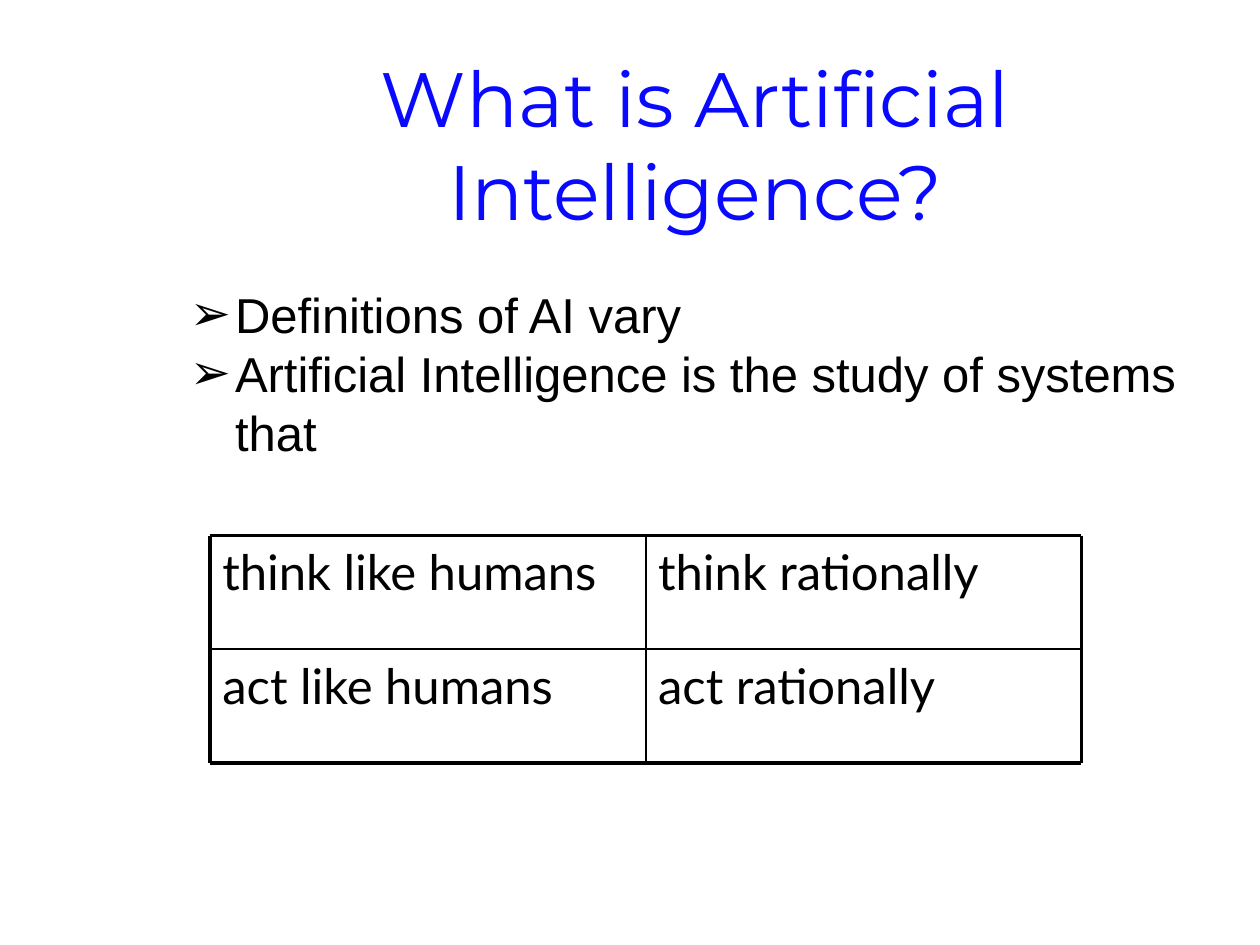
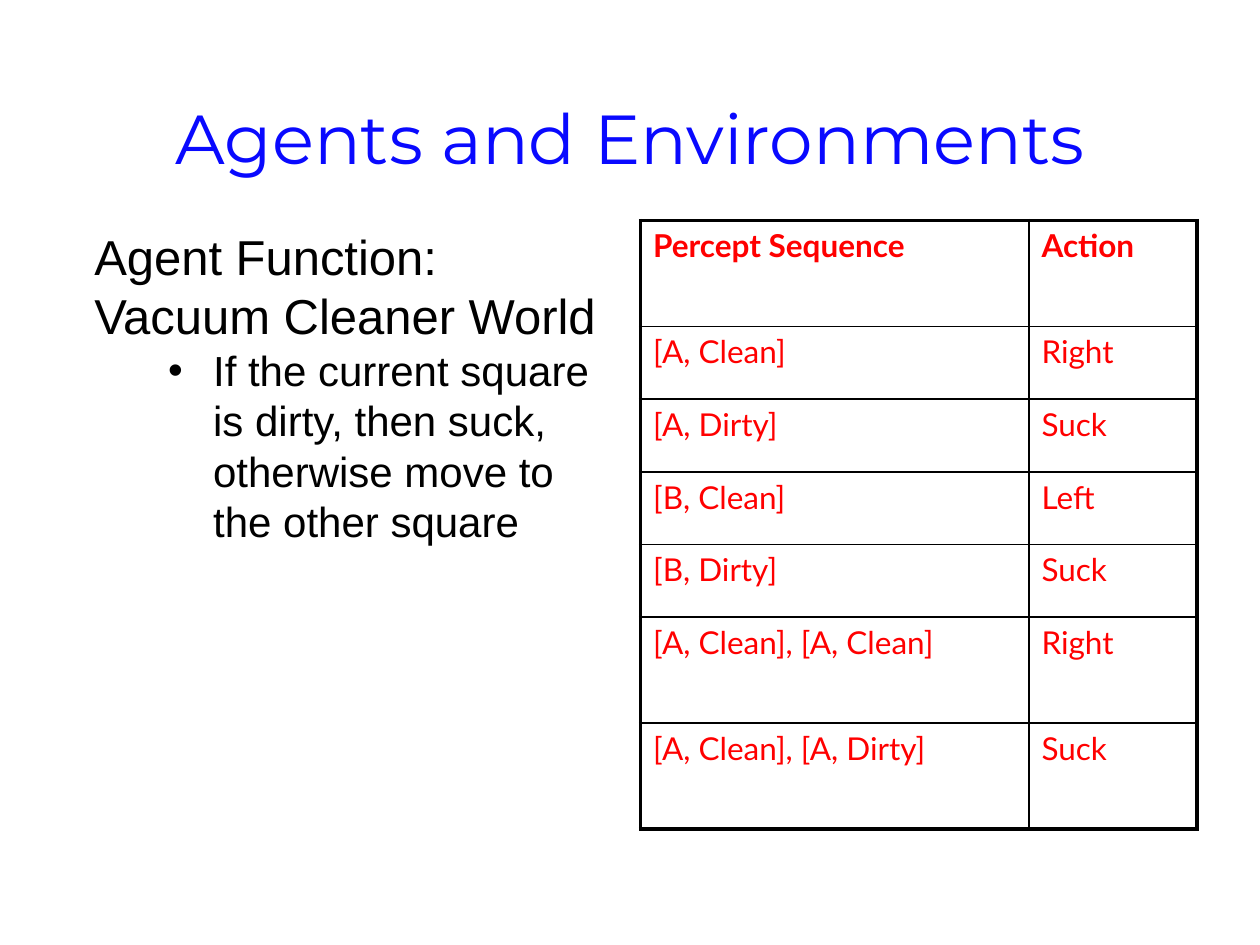
from pptx import Presentation
from pptx.dml.color import RGBColor
from pptx.enum.shapes import MSO_CONNECTOR
from pptx.enum.text import MSO_ANCHOR, MSO_AUTO_SIZE, PP_ALIGN
from pptx.oxml.ns import qn
from pptx.util import Pt
from lxml.etree import SubElement

BLUE, BLACK, RED = "0909FF", "000000", "FF0000"
TITLE_FONT, BODY_FONT, TABLE_FONT = "Montserrat", "Arial", "Lato"
THICK, THIN = 2.25, 1
HANG = 25.75
TITLE_ONLY = 5


def color(value):
    return RGBColor.from_string(value)


class SlideBuilder:
    """Holds the deck, its style and the current slide."""

    def __init__(self):
        self.deck = Presentation()
        self.deck.slide_width, self.deck.slide_height = Pt(720), Pt(540)
        self.page = None

    def new_page(self):
        self.page = self.deck.slides.add_slide(self.deck.slide_layouts[TITLE_ONLY])

    def add_span(self, para, text, font, size, ink, bold=False):
        span = para.add_run()
        span.text = text
        span.font.name, span.font.size, span.font.bold = font, Pt(size), bold
        span.font.color.rgb = color(ink)

    def title(self, text, left, top, width, height, size, anchor, spacing):
        box = self.page.shapes.title
        box.left, box.top, box.width, box.height = map(Pt, (left, top, width, height))
        frame = box.text_frame
        frame.word_wrap = True
        frame.auto_size = MSO_AUTO_SIZE.NONE
        frame.vertical_anchor = anchor
        para = frame.paragraphs[0]
        para.alignment = PP_ALIGN.CENTER
        para.line_spacing = spacing
        self.add_span(para, text, TITLE_FONT, size, BLUE)

    def text(self, items, left, top, width, height, font=BODY_FONT):
        """Each item is (text, size, indent, bullet or None)."""
        box = self.page.shapes.add_textbox(*map(Pt, (left, top, width, height)))
        frame = box.text_frame
        frame.word_wrap = True
        for index, (text, size, indent, bullet) in enumerate(items):
            para = frame.add_paragraph() if index else frame.paragraphs[0]
            props = para._p.get_or_add_pPr()
            props.set("marL", str(Pt(indent)))
            if bullet:
                props.set("indent", str(-Pt(HANG)))
                SubElement(props, qn("a:buFont"), typeface=BODY_FONT)
                SubElement(props, qn("a:buChar"), char=bullet)
            self.add_span(para, text, font, size, BLACK)

    def rule(self, x1, y1, x2, y2, weight):
        line = self.page.shapes.add_connector(
            MSO_CONNECTOR.STRAIGHT, *map(Pt, (x1, y1, x2, y2)))
        line.line.color.rgb = color(BLACK)
        line.line.width = Pt(weight)
        SubElement(line._element.spPr, qn("a:effectLst"))

    def matrix(self, rows, left, top, width, height, size):
        """Draw equal text cells with ruled lines between and around them."""
        row_count, column_count = len(rows), len(rows[0])
        for r, texts in enumerate(rows):
            for c, text in enumerate(texts):
                self.text([(text, size, 0, None)], left + c * width, top + r * height,
                          width, height, TABLE_FONT)
        right, bottom = left + column_count * width, top + row_count * height
        for r in range(row_count + 1):
            y = top + r * height
            self.rule(left, y, right, y, THICK if r in (0, row_count) else THIN)
        for c in range(column_count + 1):
            x = left + c * width
            self.rule(x, top, x, bottom, THICK if c in (0, column_count) else THIN)

    def border(self, cell, side, weight):
        line = SubElement(cell._tc.get_or_add_tcPr(), qn(f"a:ln{side}"), w=str(Pt(weight)))
        fill = SubElement(line, qn("a:solidFill"))
        SubElement(fill, qn("a:srgbClr"), val=BLACK)

    def table(self, rows, left, top, widths, heights, size, ink):
        """Draw a table with a bold header, a thick frame and thin inner rules."""
        shape = self.page.shapes.add_table(
            len(rows), len(widths), Pt(left), Pt(top), Pt(sum(widths)), Pt(sum(heights)))
        grid = shape.table
        grid.horz_banding = False
        for column, width in zip(grid.columns, widths):
            column.width = Pt(width)
        for row, height in zip(grid.rows, heights):
            row.height = Pt(height)
        last_row, last_column = len(rows) - 1, len(widths) - 1
        for r, texts in enumerate(rows):
            for c, text in enumerate(texts):
                cell = grid.cell(r, c)
                outer = {"L": c == 0, "R": c == last_column,
                         "T": r == 0, "B": r == last_row}
                for side, is_outer in outer.items():
                    self.border(cell, side, THICK if is_outer else THIN)
                cell.fill.background()
                self.add_span(cell.text_frame.paragraphs[0], text, TABLE_FONT, size, ink,
                              bold=r == 0)


def definition_slide(builder):
    builder.new_page()
    builder.title("What is Artificial Intelligence?", 90.75, 24.5, 613.5, 113.75,
                  44, MSO_ANCHOR.BOTTOM, 1.0)
    builder.text([
        ("Definitions of AI vary", 28, 34.25, "➢"),
        ("Artificial Intelligence is the study of systems that", 28, 34.25, "➢"),
    ], 93, 159, 612, 119)
    # Four approaches to AI
    builder.matrix([
        ("think like humans", "think rationally"),
        ("act like humans", "act rationally"),
    ], 120, 306, 249, 65, 28)


def agent_slide(builder):
    builder.new_page()
    builder.title("Agents and Environments", 49.75, 28.75, 620.5, 104.5,
                  39.6, MSO_ANCHOR.MIDDLE, 0.9)
    builder.text([
        ("Agent Function: Vacuum Cleaner World", 28, 10.8, None),
        ("If the current square is dirty, then suck, otherwise move to the other square",
         24, 78.75, "•"),
    ], 36, 126, 318, 240.5)
    # Percepts and the resulting actions
    tall, short = 60.6, 41.5
    builder.table([
        ("Percept Sequence", "Action"),
        ("[A, Clean]", "Right"),
        ("[A, Dirty]", "Suck"),
        ("[B, Clean]", "Left"),
        ("[B, Dirty]", "Suck"),
        ("[A, Clean], [A, Clean]", "Right"),
        ("[A, Clean], [A, Dirty]", "Suck"),
    ], 366, 126, [222, 96], [tall] + [short] * 4 + [tall] * 2, 18, RED)


def main():
    builder = SlideBuilder()
    definition_slide(builder)
    agent_slide(builder)
    builder.deck.save("out.pptx")


if __name__ == "__main__":
    main()
